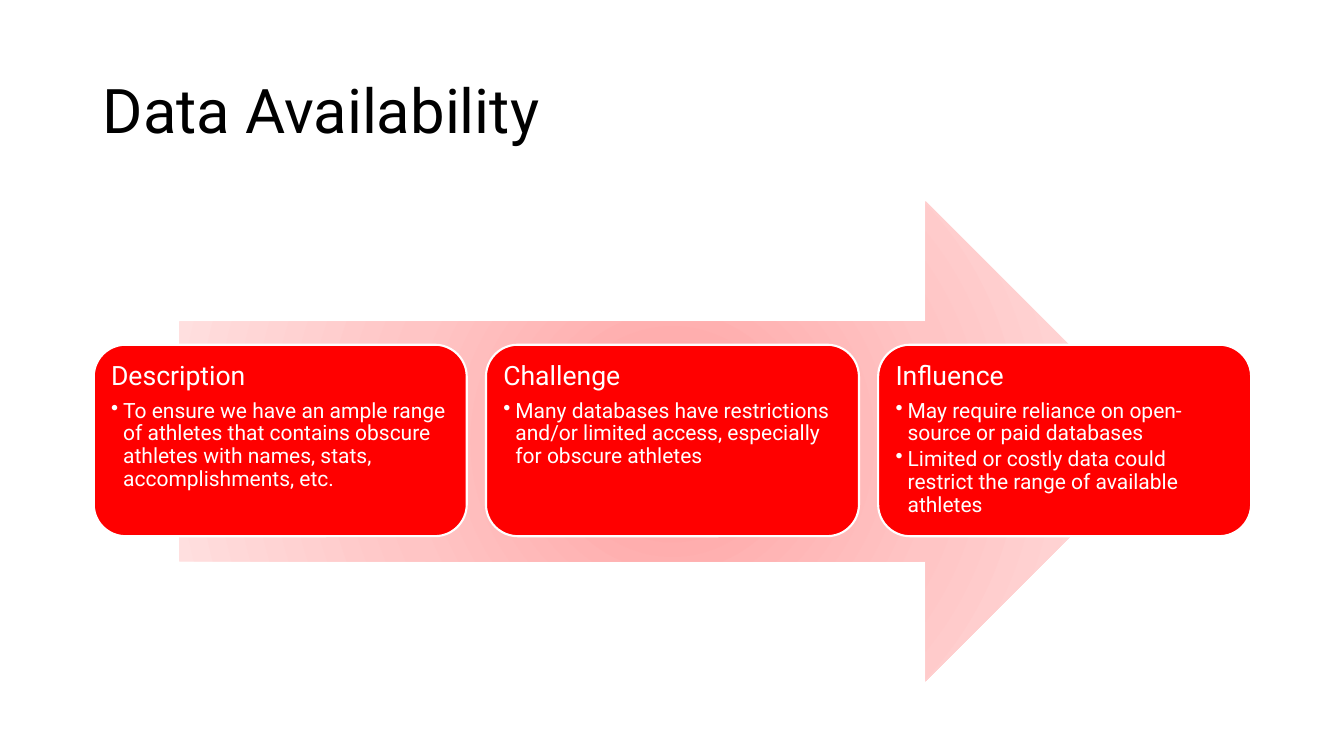
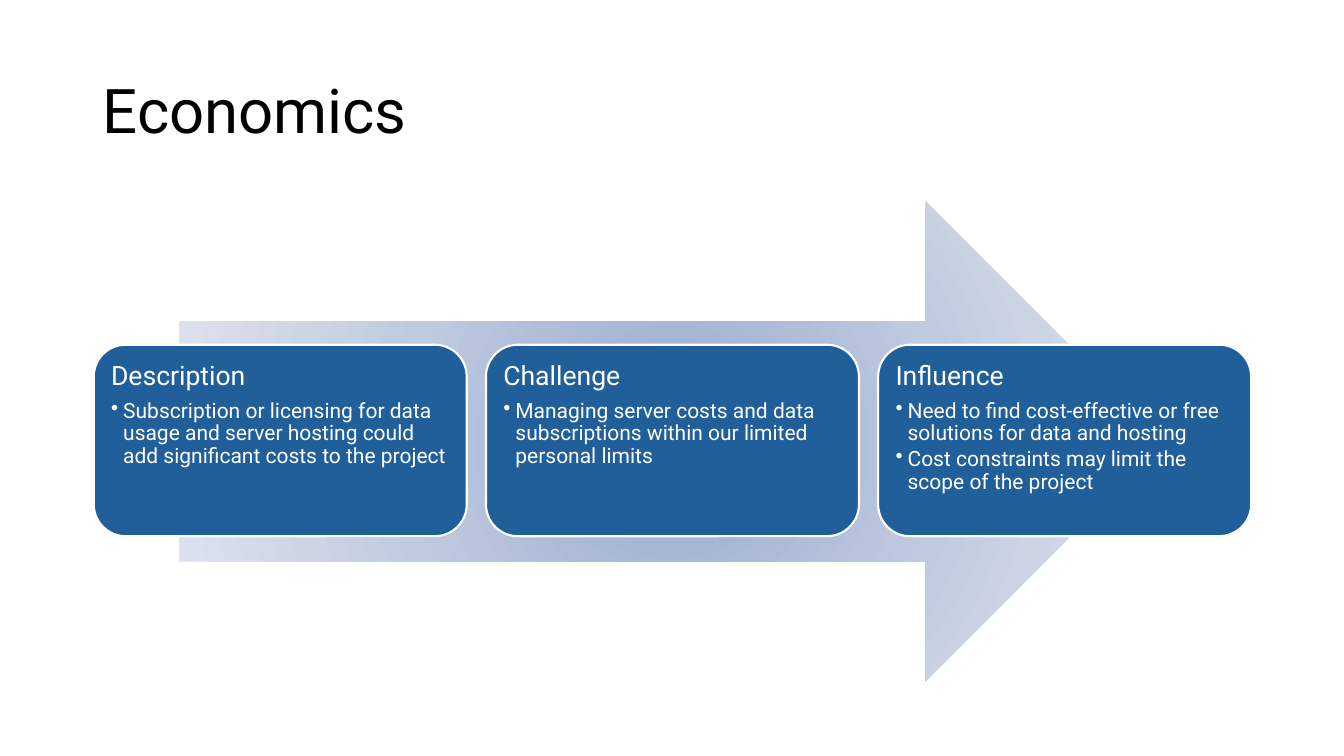
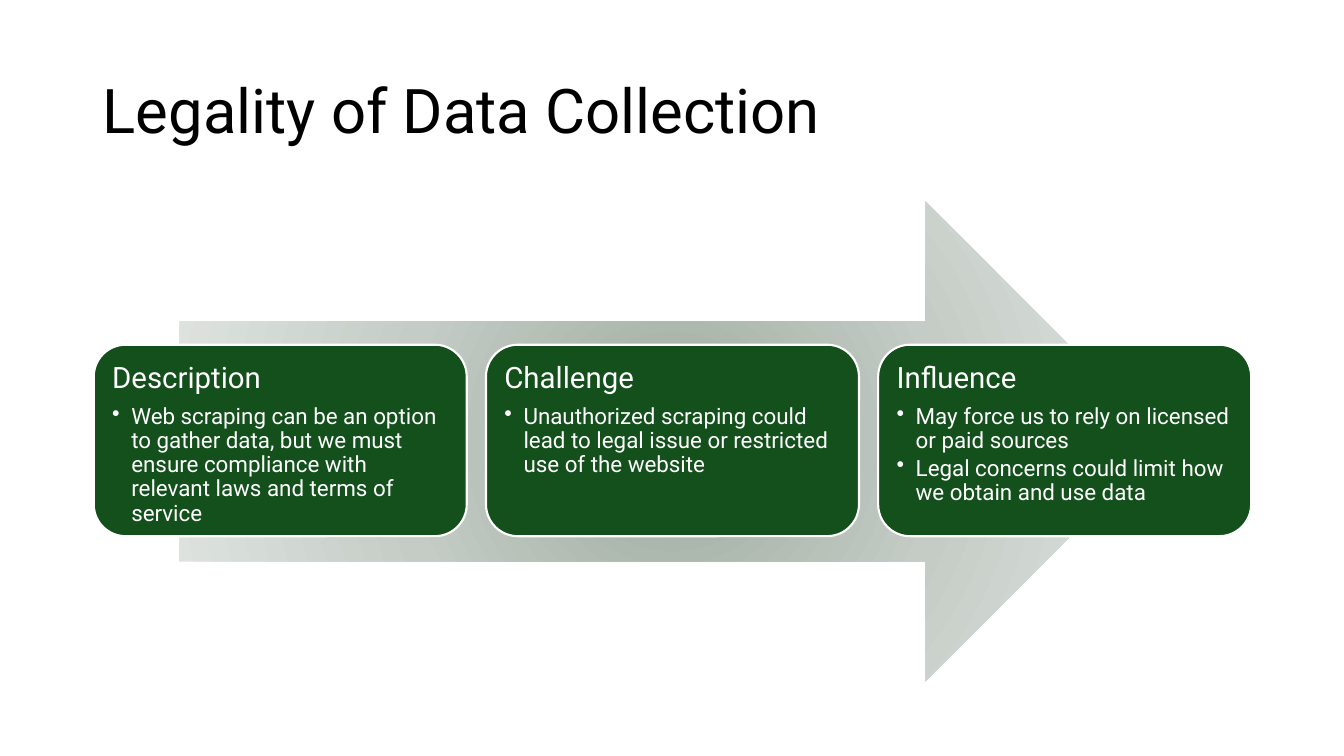
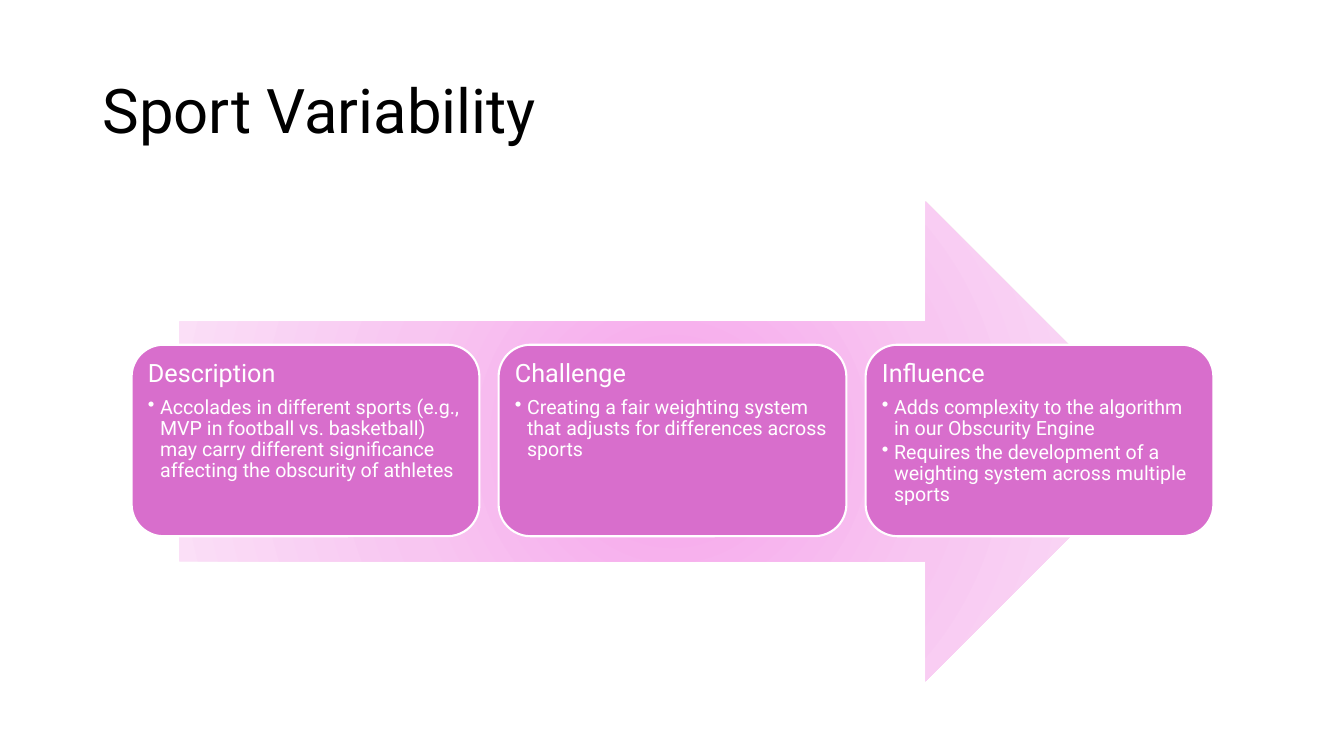
from dataclasses import dataclass

import lxml.etree
import pptx
import pptx.dml.color
import pptx.enum.shapes
import pptx.enum.text
import pptx.oxml
import pptx.oxml.ns
import pptx.presentation
import pptx.shapes.autoshape
import pptx.slide
import pptx.text.text
import pptx.util

Inches = pptx.util.Inches
Pt = pptx.util.Pt
RGBColor = pptx.dml.color.RGBColor
Shape = pptx.enum.shapes.MSO_SHAPE
Anchor = pptx.enum.text.MSO_ANCHOR
Align = pptx.enum.text.PP_ALIGN

FONT = "Roboto"
BLACK = RGBColor(0x00, 0x00, 0x00)
WHITE = RGBColor(0xFF, 0xFF, 0xFF)
RED = RGBColor(0xFF, 0x00, 0x00)
BLUE = RGBColor(0x21, 0x5F, 0x9A)
GREEN = RGBColor(0x13, 0x50, 0x1B)
PINK = RGBColor(0xD8, 0x6E, 0xCC)
REDS = (RGBColor(0xFF, 0xA0, 0xA0), RGBColor(0xFF, 0xC5, 0xC5), RGBColor(0xFF, 0xE3, 0xE3))
BLUES = (RGBColor(0x96, 0xA9, 0xCF), RGBColor(0xC0, 0xCA, 0xDF), RGBColor(0xE1, 0xE5, 0xEF))
GREENS = (RGBColor(0x9D, 0xAB, 0x9E), RGBColor(0xC4, 0xCC, 0xC5), RGBColor(0xE2, 0xE6, 0xE3))
PINKS = (RGBColor(0xF6, 0xA2, 0xEB), RGBColor(0xF8, 0xC6, 0xF1), RGBColor(0xFB, 0xE3, 0xF8))

HEADS = ("Description", "Challenge", "Influence")
CENTER = 6.67
GAP = 0.19


@dataclass(frozen=True)
class Style:
    """Card measures: width, inset and indent in inches, text sizes in points."""
    wide: float
    inset: float
    indent: float
    head: int
    body: int


@dataclass(frozen=True)
class Topic:
    title: str
    color: RGBColor
    tints: tuple[RGBColor, ...]
    style: Style
    points: tuple[tuple[str, ...], ...]


BASE = Style(3.7, 0.08, 0.12, 19, 15)
LARGE = Style(3.7, 0.09, 0.19, 21, 16)
SMALL = Style(3.45, 0.07, 0.12, 18, 14)

TOPICS = (
    Topic("Data Availability", RED, REDS, BASE, (
        ("To ensure we have an ample range of athletes that contains obscure "
         "athletes with names, stats, accomplishments, etc.",),
        ("Many databases have restrictions and/or limited access, especially "
         "for obscure athletes",),
        ("May require reliance on open-source or paid databases",
         "Limited or costly data could restrict the range of available athletes"),
    )),
    Topic("Economics", BLUE, BLUES, BASE, (
        ("Subscription or licensing for data usage and server hosting could "
         "add significant costs to the project",),
        ("Managing server costs and data subscriptions within our limited "
         "personal limits",),
        ("Need to find cost-effective or free solutions for data and hosting",
         "Cost constraints may limit the scope of the project"),
    )),
    Topic("Legality of Data Collection", GREEN, GREENS, LARGE, (
        ("Web scraping can be an option to gather data, but we must ensure "
         "compliance with relevant laws and terms of service",),
        ("Unauthorized scraping could lead to legal issue or restricted use "
         "of the website",),
        ("May force us to rely on licensed or paid sources",
         "Legal concerns could limit how we obtain and use data"),
    )),
    Topic("Sport Variability", PINK, PINKS, SMALL, (
        ("Accolades in different sports (e.g., MVP in football vs. basketball) "
         "may carry different significance affecting the obscurity of athletes",),
        ("Creating a fair weighting system that adjusts for differences across "
         "sports",),
        ("Adds complexity to the algorithm in our Obscurity Engine",
         "Requires the development of a weighting system across multiple sports"),
    )),
)


def write(para: pptx.text.text._Paragraph, text: str, size: int,
          color: RGBColor, after: float = 0) -> None:
    """Fill a paragraph; after is a share of the text size."""
    para.alignment = Align.LEFT
    para.line_spacing = 0.9
    para.space_after = Pt(after * size)
    run = para.add_run()
    run.text = text
    run.font.name = FONT
    run.font.size = Pt(size)
    run.font.color.rgb = color


def bullet(para: pptx.text.text._Paragraph, indent: float) -> None:
    para.level = 1
    props = para._p.get_or_add_pPr()
    props.set("marL", str(Inches(indent)))
    props.set("indent", str(Inches(-indent)))
    mark = lxml.etree.SubElement(props, pptx.oxml.ns.qn("a:buChar"))
    mark.set("char", "•")


def glow(shape: pptx.shapes.autoshape.Shape, tints: tuple[RGBColor, ...]) -> None:
    """Fill a shape with a gradient that runs outward from its centre."""
    step = 100000 // (len(tints) - 1)
    stops = "".join(f'<a:gs pos="{i * step}"><a:srgbClr val="{tint}"/></a:gs>'
                    for i, tint in enumerate(tints))
    grad = pptx.oxml.parse_xml(
        f'<a:gradFill {pptx.oxml.ns.nsdecls("a")} rotWithShape="1">'
        f'<a:gsLst>{stops}</a:gsLst><a:path path="circle">'
        '<a:fillToRect l="50000" t="50000" r="50000" b="50000"/>'
        '</a:path></a:gradFill>')
    shape.fill.background()
    props = shape.element.spPr
    props.replace(props.find(pptx.oxml.ns.qn("a:noFill")), grad)


def add_title(slide: pptx.slide.Slide, text: str) -> None:
    box = slide.shapes.add_textbox(Inches(0.92), Inches(0.4), Inches(11.5), Inches(1.45))
    frame = box.text_frame
    frame.word_wrap = True
    frame.vertical_anchor = Anchor.MIDDLE
    write(frame.paragraphs[0], text, 44, BLACK)


def add_arrow(slide: pptx.slide.Slide, tints: tuple[RGBColor, ...]) -> None:
    arrow = slide.shapes.add_shape(Shape.RIGHT_ARROW, Inches(1.78), Inches(2),
                                   Inches(9.78), Inches(4.76))
    arrow.shadow.inherit = False
    arrow.line.fill.background()
    glow(arrow, tints)


def add_card(slide: pptx.slide.Slide, left: float, head: str,
             points: tuple[str, ...], color: RGBColor, style: Style) -> None:
    card = slide.shapes.add_shape(Shape.ROUNDED_RECTANGLE, Inches(left), Inches(3.42),
                                  Inches(style.wide), Inches(1.9))
    card.shadow.inherit = False
    card.fill.solid()
    card.fill.fore_color.rgb = color
    card.line.color.rgb = WHITE
    card.line.width = Pt(1.5)
    frame = card.text_frame
    frame.word_wrap = True
    frame.vertical_anchor = Anchor.TOP
    frame.margin_left = frame.margin_right = Inches(style.inset)
    frame.margin_top = frame.margin_bottom = Inches(style.inset)
    write(frame.paragraphs[0], head, style.head, WHITE, 0.35)
    for point in points:
        para = frame.add_paragraph()
        write(para, point, style.body, WHITE, 0.15)
        bullet(para, style.indent)


def add_topic(deck: pptx.presentation.Presentation, topic: Topic) -> None:
    slide = deck.slides.add_slide(deck.slide_layouts[6])
    add_title(slide, topic.title)
    add_arrow(slide, topic.tints)
    wide = topic.style.wide
    first = CENTER - 1.5 * wide - GAP
    for i, (head, points) in enumerate(zip(HEADS, topic.points)):
        add_card(slide, first + i * (wide + GAP), head, points, topic.color, topic.style)


def main() -> None:
    deck = pptx.Presentation()
    deck.slide_width = Inches(13.33)
    deck.slide_height = Inches(7.5)
    for topic in TOPICS:
        add_topic(deck, topic)
    deck.save("out.pptx")


if __name__ == "__main__":
    main()
